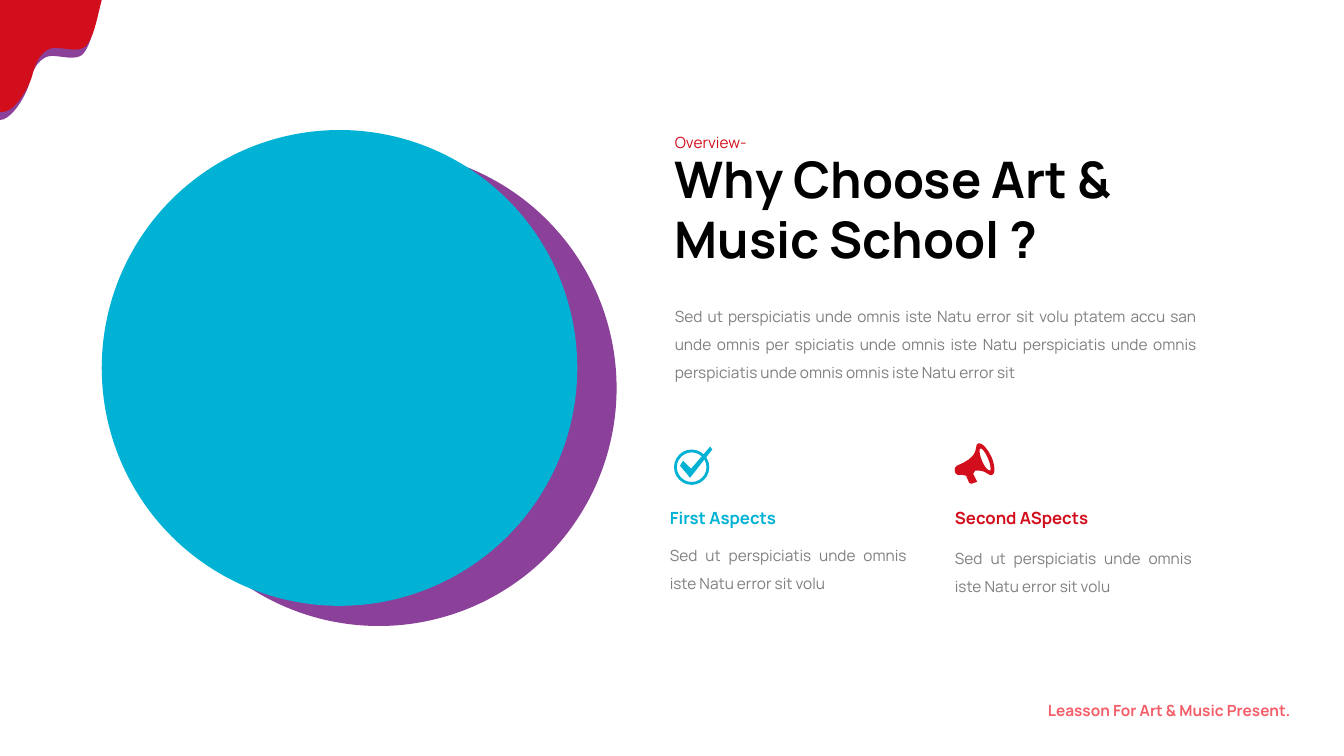
from pptx import Presentation
from pptx.dml.color import RGBColor
from pptx.enum.shapes import MSO_SHAPE
from pptx.enum.text import MSO_AUTO_SIZE, PP_ALIGN
from pptx.util import Inches, Pt

HUES = {
    "blue": "01B2D4", "plum": "8B409A", "red": "D20E1C", "pink": "F45E69",
    "gray": "7F7F7F", "black": "000000",
}
UNITS = 1000  # freeform units per inch
STEPS = 10    # line pieces per curve

deck = Presentation()
deck.slide_width, deck.slide_height = Inches(13.34), Inches(7.5)
slide = deck.slides.add_slide(deck.slide_layouts[6])
shapes = slide.shapes


def paint(shape, hue):
    shape.shadow.inherit = False
    shape.fill.solid()
    shape.fill.fore_color.rgb = RGBColor.from_string(HUES[hue])
    shape.line.fill.background()


def draw(rings, hue):
    """Draw outlines made of points (x, y) and cubic curves (six numbers)."""
    pen = shapes.build_freeform(scale=Inches(1) / UNITS)
    for start, *parts in rings:
        dots = [start]
        for part in parts:
            if len(part) == 2:
                dots.append(part)
                continue
            ctrl = [dots[-1], part[:2], part[2:4], part[4:]]
            for step in range(1, STEPS + 1):
                t = step / STEPS
                u = 1 - t
                mix = (u ** 3, 3 * u * u * t, 3 * u * t * t, t ** 3)
                dots.append([sum(m * c[i] for m, c in zip(mix, ctrl))
                             for i in (0, 1)])
        dots = [(x * UNITS, y * UNITS) for x, y in dots]
        pen.move_to(*dots[0])
        pen.add_line_segments(dots[1:], close=True)
    paint(pen.convert_to_shape(), hue)


# Large circles and the ring of the check mark
for left, top, size, kind, hue in (
        (1.4, 1.49, 4.72, MSO_SHAPE.OVAL, "plum"),
        (1.01, 1.29, 4.72, MSO_SHAPE.OVAL, "blue"),
        (6.69, 4.46, 0.35, MSO_SHAPE.DONUT, "blue")):
    disc = shapes.add_shape(kind, *map(Inches, (left, top, size, size)))
    paint(disc, hue)
disc.adjustments[0] = 0.08

# Corner drips: one edge, drawn twice with a shift
edge = [
    (0.98, 0.08), (0.95, 0.18, 0.91, 0.45, 0.82, 0.54),
    (0.73, 0.62, 0.54, 0.52, 0.45, 0.57),
    (0.36, 0.62, 0.32, 0.71, 0.29, 0.83),
    (0.26, 0.94, 0.12, 1.19, 0, 1.19),
]
for dx, dy, hue in ((0, 0, "plum"), (0.03, -0.08, "red")):
    moved = [[n + (dy if i % 2 else dx) for i, n in enumerate(part)]
             for part in edge]
    draw([[(0, moved[0][1]), *moved, (0, moved[-1][-1])]], hue)

# Check mark
draw([[(7.05, 4.43), (7.07, 4.46), (6.85, 4.74), (6.75, 4.62),
       (6.78, 4.57), (6.86, 4.65)]], "blue")

# Megaphone: body, then the opening
draw([
    [(9.71, 4.4), (9.66, 4.42, 9.75, 4.52, 9.5, 4.62),
     (9.46, 4.64, 9.47, 4.73, 9.54, 4.71), (9.59, 4.72), (9.62, 4.79),
     (9.64, 4.8), (9.7, 4.78), (9.66, 4.7), (9.68, 4.67),
     (9.8, 4.66, 9.81, 4.73, 9.85, 4.71),
     (9.88, 4.7, 9.88, 4.62, 9.84, 4.53),
     (9.8, 4.45, 9.75, 4.39, 9.71, 4.4)],
    [(9.83, 4.67), (9.77, 4.67, 9.7, 4.47, 9.73, 4.45),
     (9.77, 4.44, 9.85, 4.62, 9.83, 4.67)],
], "red")

# Texts: box, words, hue, font values, paragraph values
small = {"size": Pt(11), "bold": False}
strong = {"size": Pt(11), "bold": True}
head = {"size": Pt(12), "bold": True}
title = {"size": Pt(36), "bold": True}
plain = {"alignment": PP_ALIGN.LEFT, "line_spacing": 1.0}
loose = {"alignment": PP_ALIGN.LEFT, "line_spacing": 1.5}
block = {"alignment": PP_ALIGN.JUSTIFY, "line_spacing": 1.5}
right = {"alignment": PP_ALIGN.RIGHT, "line_spacing": 1.5}
brief = "Sed ut perspiciatis unde omnis iste Natu error sit volu"
story = (brief + " ptatem accu san unde omnis per spiciatis unde omnis iste "
         "Natu perspiciatis unde omnis perspiciatis unde omnis omnis iste "
         "Natu error sit")
texts = [
    ((9.16, 6.81, 3.75, 0.38), "Leasson For Art & Music Present.", "pink",
     strong, right),
    ((6.6, 1.42, 4.63, 1.3), "Why Choose Art & Music School ?", "black",
     title, plain),
    ((6.6, 1.18, 1.68, 0.38), "Overview-", "red", small, block),
    ((6.6, 2.91, 5.38, 0.93), story, "gray", small, block),
]
# Two aspects side by side
for left, top, name, hue in ((6.55, 5.28, "First Aspects", "blue"),
                             (9.38, 5.31, "Second ASpects", "red")):
    texts.append(((left, top, 2.55, 0.65), brief, "gray", small, block))
    texts.append(((left, 4.89, 1.85, 0.4), name, hue, head, loose))

for box, words, hue, face, form in texts:
    frame = shapes.add_textbox(*map(Inches, box)).text_frame
    frame.word_wrap = True
    frame.auto_size = MSO_AUTO_SIZE.SHAPE_TO_FIT_TEXT
    para = frame.paragraphs[0]
    run = para.add_run()
    run.text = words
    run.font.color.rgb = RGBColor.from_string(HUES[hue])
    for item, values in ((para, form), (run.font, {"name": "Manrope", **face})):
        for key, value in values.items():
            setattr(item, key, value)

deck.save("out.pptx")
